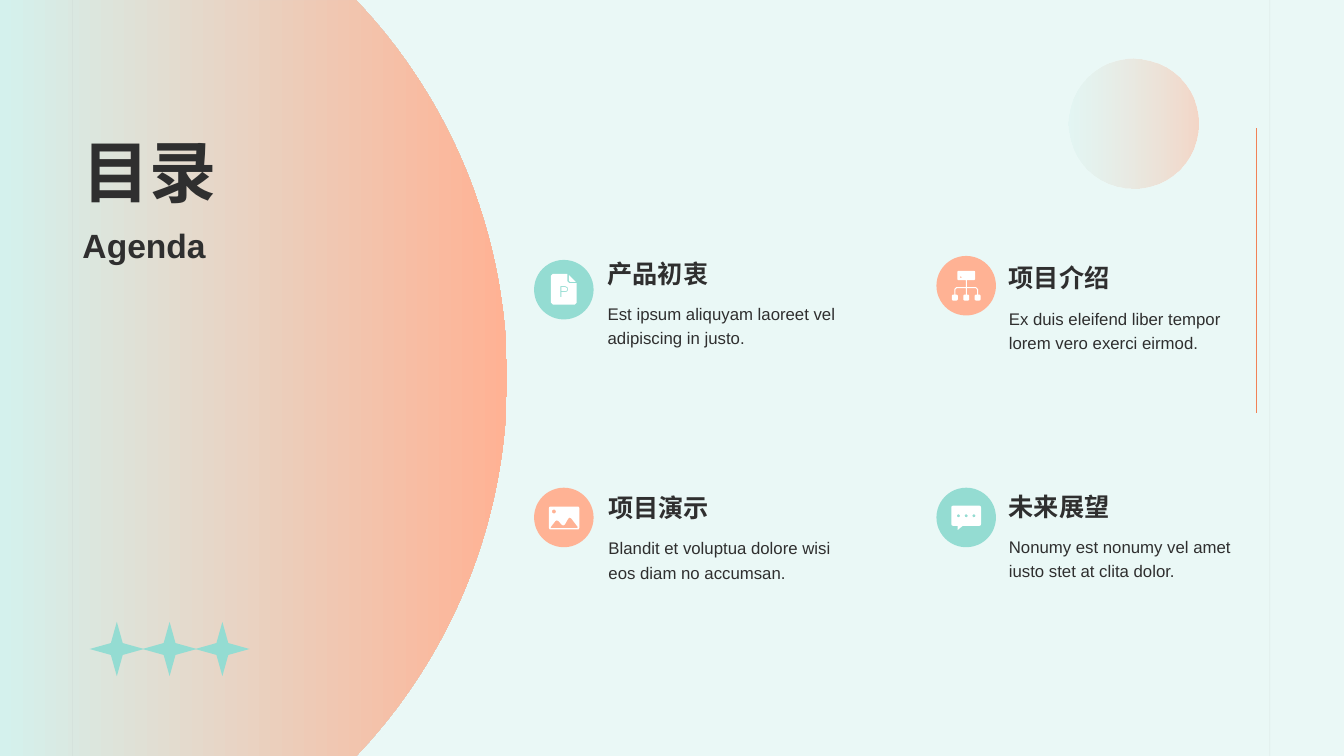
from math import cos, pi, sin
from lxml import etree
from pptx import Presentation
from pptx import util as u
from pptx.dml.color import RGBColor
from pptx.enum import shapes, text
from pptx.oxml import ns

INK, MINT, PEACH, PALE, WHITE = "2F2F2F", "94DCD2", "FFB294", "D4F1ED", "FFFFFF"
KIND = shapes.MSO_SHAPE


def tint(code):
    return RGBColor.from_string(code)


def fade(shape, *shares):
    marks = shape._element.spPr.iter(ns.qn("a:srgbClr"))
    for mark, share in zip(list(marks), shares):
        alpha = etree.SubElement(mark, ns.qn("a:alpha"))
        alpha.set("val", str(share * 1000))


def arc(x, y, radius, start, end, steps):
    turns = [start + (end - start) * i / steps for i in range(steps + 1)]
    return [(x + radius * cos(t), y + radius * sin(t)) for t in turns]


def disc(x, y, radius):
    return arc(x, y, radius, 0, 2 * pi, 20)


def box(left, top, right, base, curve=1.5):
    spots = [(right - curve, base - curve), (left + curve, base - curve),
             (left + curve, top + curve), (right - curve, top + curve)]
    return [spot for i, (x, y) in enumerate(spots)
            for spot in arc(x, y, curve, i * pi / 2, (i + 1) * pi / 2, 4)]


class Deck:
    font = "Arial"

    def __init__(self, width, height, back):
        self.show = Presentation()
        self.show.slide_width, self.show.slide_height = u.Cm(width), u.Cm(height)
        self.slide = self.show.slides.add_slide(self.show.slide_layouts[4])
        self.holders = {h.placeholder_format.idx: h for h in self.slide.placeholders}
        self.items = self.slide.shapes
        fill = self.slide.background.fill
        fill.solid()
        fill.fore_color.rgb = tint(back)

    def paint(self, shape, *codes):
        shape.shadow.inherit = False
        shape.line.fill.background()
        if len(codes) == 1:
            shape.fill.solid()
            shape.fill.fore_color.rgb = tint(codes[0])
        else:
            shape.fill.gradient()
            shape.fill.gradient_angle = 0
            for stop, code in zip(shape.fill.gradient_stops, codes):
                stop.color.rgb = tint(code)
        return shape

    def form(self, kind, left, top, size, *codes):
        shape = self.items.add_shape(kind, u.Cm(left), u.Cm(top), u.Cm(size), u.Cm(size))
        return self.paint(shape, *codes)

    def trace(self, left, top, unit, loops, *codes):
        pen = None
        for loop in loops:
            spots = [(u.Cm(left + x * unit), u.Cm(top + y * unit)) for x, y in loop]
            if pen is None:
                pen = self.items.build_freeform(*spots[0], scale=1.0)
            else:
                pen.move_to(*spots[0])
            pen.add_line_segments(spots[1:], close=True)
        return self.paint(pen.convert_to_shape(), *codes)

    def rule(self, x, top, base, code):
        line = self.items.add_connector(
            shapes.MSO_CONNECTOR.STRAIGHT, u.Cm(x), u.Cm(top), u.Cm(x), u.Cm(base))
        line.line.color.rgb = tint(code)
        line.line.width = u.Pt(0.5)
        etree.SubElement(line._element.spPr, ns.qn("a:effectLst"))
        return line

    def label(self, words, place, size, bold=False, low=False, space=1.0, holder=None):
        spot = [u.Cm(n) for n in place]
        if holder is None:
            shape = self.items.add_textbox(*spot)
        else:
            shape = self.holders[holder]
            shape.left, shape.top, shape.width, shape.height = spot
            self.items._spTree.append(shape._element)
        frame = shape.text_frame
        frame.word_wrap = True
        frame.auto_size = text.MSO_AUTO_SIZE.NONE
        frame.vertical_anchor = text.MSO_ANCHOR.BOTTOM if low else text.MSO_ANCHOR.TOP
        para = frame.paragraphs[0]
        para.alignment = text.PP_ALIGN.LEFT
        para.line_spacing = space
        para.space_before = u.Pt(0)
        props = para._p.get_or_add_pPr()
        props.set("marL", "0")
        props.set("indent", "0")
        etree.SubElement(props, ns.qn("a:buNone"))
        run = para.add_run()
        run.text = words
        run.font.name, run.font.size, run.font.bold = self.font, u.Pt(size), bold
        run.font.color.rgb = tint(INK)


PAGE = [
    [(19, 14), (33.5, 14), (33.5, 21.5), (35.5, 23.5), (43, 23.5), (43, 43),
     (41, 45), (19, 45), (17, 43), (17, 16)],
    [(31.5, 26.5), (26.5, 26.5), (26.5, 37.5), (27.5, 37.5), (27.5, 32.5),
     (31.5, 32.5), (33.5, 31.7), (34.5, 29.5), (33.5, 27.3)],
    [(27.5, 27.5), (31.5, 27.5), (33, 28.3), (33.4, 29.5), (33, 30.8),
     (31.5, 31.5), (27.5, 31.5)],
    [(35, 15), (42, 22), (36, 22), (35, 21)],
]
TREE = [
    box(21, 15, 39, 24.5), disc(24.5, 21.5, 0.8),
    [(18, 39), (18, 33.5), (20, 31.5), (29.5, 31.5), (29.5, 24.5), (30.5, 24.5),
     (30.5, 31.5), (40, 31.5), (42, 33.5), (42, 39), (41, 39), (41, 34),
     (39.5, 32.5), (30.5, 32.5), (30.5, 39), (29.5, 39), (29.5, 32.5),
     (20.5, 32.5), (19, 34), (19, 39)],
] + [box(x - 3, 39, x + 3, 45) for x in (18.5, 30, 41.5)]
PHOTO = [
    box(15, 19, 45.5, 42), disc(20, 24, 2),
    [(16.5, 40), (21.5, 33.5), (23, 33), (24.5, 33.5), (28, 37.5), (29.5, 38),
     (31, 37), (34.5, 31), (36, 30), (37.5, 31), (44, 39.5), (43.5, 40.8), (17, 40.8)],
]
CHAT = [
    [(17, 18), (43, 18), (44.5, 18.5), (45, 20), (45, 36.5), (44.5, 38), (43, 38.5),
     (26.5, 38.5), (21.5, 42.5), (21.5, 38.5), (17, 38.5), (15.5, 38), (15, 36.5),
     (15, 20), (15.5, 18.5)],
] + [disc(x, 28.3, 1.5) for x in (22.2, 30, 37.8)]

TOPICS = [
    ("产品初衷", "Est ipsum aliquyam laoreet vel adipiscing in justo.",
     13.46, 6.55, 15.06, 6.2, MINT, PAGE),
    ("项目介绍", "Ex duis eleifend liber tempor lorem vero exerci eirmod.",
     23.6, 6.45, 25.17, 6.32, PEACH, TREE),
    ("项目演示", "Blandit et voluptua dolore wisi eos diam no accumsan.",
     13.46, 12.29, 15.08, 12.1, PEACH, PHOTO),
    ("未来展望", "Nonumy est nonumy vel amet iusto stet at clita dolor.",
     23.6, 12.29, 25.17, 12.07, MINT, CHAT),
]


def main():
    wide, high = 33.87, 19.05
    deck = Deck(wide, high, "EAF8F6")

    bend = 0.76
    curve = arc(-1.04, 9.53, 13.82, -bend, bend, 80)
    deck.trace(0, 0, 1, [[(0, 0), *curve, (0, high)]], PALE, PEACH)
    for x in (1.83, 32):
        fade(deck.rule(x, 0, high, "979797"), 10)

    for i, (name, note, left, top, edge, head, code, icon) in enumerate(TOPICS, 1):
        deck.label(name, (edge, head, 6.83, 1.19), 18, bold=True, low=True)
        deck.label(note, (edge, head + 1.23, 6.83, 2.67), 12, space=1.2, holder=i)
        deck.form(KIND.ROUNDED_RECTANGLE, left, top, 1.5, code).adjustments[0] = 0.5
        deck.trace(left, top, 0.025, icon, WHITE)

    deck.label("目录", (1.83, 3.15, 8.36, 2.41), 48, bold=True, holder=0)
    fade(deck.form(KIND.OVAL, 26.92, 1.47, 3.28, PALE, PEACH), 30, 48)
    for i in range(3):
        star = deck.form(KIND.STAR_4_POINT, 2.26 + i * 1.33, 15.67, 1.37, MINT)
        star.adjustments[0] = 0.154
    deck.rule(31.65, 3.23, 10.41, "F18156")
    deck.label("Agenda", (1.83, 5.54, 8.36, 1.37), 24, bold=True)
    deck.show.save("out.pptx")


if __name__ == "__main__":
    main()
